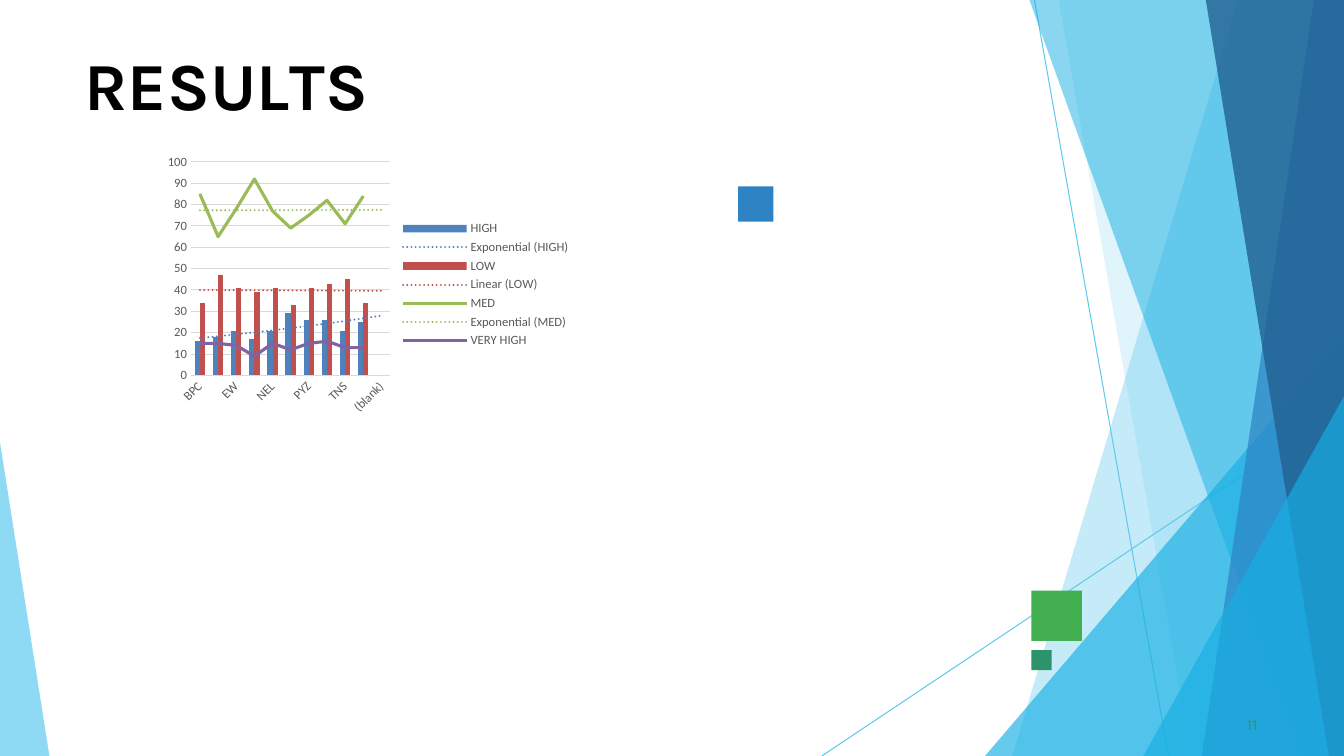
"""Build the RESULTS slide: a faceted backdrop, a title and a combined chart."""
import typing

import pptx
import pptx.chart.data
import pptx.dml.color
import pptx.enum.chart
import pptx.enum.shapes
import pptx.enum.text
import pptx.oxml
import pptx.oxml.ns
import pptx.util

WIDE, HIGH = pptx.util.Inches(13.33), pptx.util.Inches(7.5)
COLS, ROWS = 133.3, 75
SKY, AQUA, BLUE, NAVY = "5FCAEE", "17AFE3", "2D83C3", "226192"
TEAL, GREEN, BLACK, GREY, PALE = "2D936B", "42AF51", "000000", "595959", "D9D9D9"
Point = tuple[float, float]

class Facet(typing.NamedTuple):
    points: list[Point]
    color: str
    alpha: int

class Square(typing.NamedTuple):
    left: float
    top: float
    size: float
    color: str

class Group(typing.NamedTuple):
    name: str
    color: str
    values: list[int]
    trend: str = ""
    line: bool = False

RAYS: list[tuple[Point, Point]] = [((102.6, 0), (115.9, ROWS)), ((COLS, 40.4), (81.5, ROWS))]
END, TIP = (COLS, ROWS), (COLS, 0)
FACETS = [
    Facet([TIP, (122.8, 0), (100.4, ROWS), END], SKY, 36),
    Facet([TIP, (105, 0), (118.2, ROWS), END], SKY, 20),
    Facet([(COLS, 33.3), (97.7, ROWS), END], AQUA, 66),
    Facet([TIP, (102.1, 0), (129.1, ROWS), END], AQUA, 50),
    Facet([TIP, (130.3, 0), (119.2, ROWS), END], BLUE, 70),
    Facet([TIP, (119.6, 0), (131.8, ROWS), END], NAVY, 80),
    Facet([(COLS, 39.3), (113.4, ROWS), END], AQUA, 66),
    Facet([(0, 43.9), (0, ROWS), (4.9, ROWS)], SKY, 70)]
SQUARES = [
    Square(102.3, 58.6, 5, GREEN),
    Square(73.2, 18.5, 3.5, BLUE),
    Square(102.3, 64.5, 2, TEAL)]
TITLE = [("R", 0), ("E", -0.4), ("S", 0.1), ("U", -0.3), ("L", -4), ("TS", 0)]
UNITS = ["BPC", "CCDR", "EW", "MSC", "NEL", "PL", "PYZ", "SVG", "TNS", "WBL", "(blank)"]
GROUPS = [
    Group("HIGH", "4F81BD", [16, 18, 21, 17, 21, 29, 26, 26, 21, 25], "exp"),
    Group("LOW", "C0504D", [34, 47, 41, 39, 41, 33, 41, 43, 45, 34], "linear"),
    Group("MED", "9BBB59", [85, 65, 78, 92, 77, 69, 75, 82, 71, 84], "exp", True),
    Group("VERY HIGH", "8064A2", [15, 15, 14, 9, 15, 12, 15, 16, 13, 13], "", True)]

def span(cells: float) -> int:
    return round(HIGH * cells / ROWS)

def place(*cells: float) -> list[int]:
    return [span(cell) for cell in cells]

def paint(fill: typing.Any, color: str) -> None:
    fill.solid()
    fill.fore_color.rgb = pptx.dml.color.RGBColor.from_string(color)

def ink(font: typing.Any, face: str, size: float, color: str) -> None:
    font.name, font.size = face, pptx.util.Pt(size)
    paint(font.fill, color)

def node(xml: str) -> typing.Any:
    return pptx.oxml.parse_xml(f"<c:box {pptx.oxml.ns.nsdecls('c', 'a')}>{xml}</c:box>")[0]

def finish(shape: typing.Any, color: str) -> None:
    shape.shadow.inherit = False
    paint(shape.fill, color)
    shape.line.fill.background()

def draw_ray(slide: typing.Any, start: Point, stop: Point) -> None:
    kind = pptx.enum.shapes.MSO_CONNECTOR.STRAIGHT
    ray = slide.shapes.add_connector(kind, *place(*start, *stop))
    paint(ray.line.fill, SKY)
    ray.line.width = pptx.util.Pt(0.75)
    ray._element.spPr.append(node("<a:effectLst/>"))

def draw_facet(slide: typing.Any, facet: Facet) -> None:
    spots = [place(*point) for point in facet.points]
    pen = slide.shapes.build_freeform(*spots[0], scale=1.0)
    pen.add_line_segments(spots[1:], close=True)
    shape = pen.convert_to_shape()
    finish(shape, facet.color)
    tone = shape._element.spPr.find(".//" + pptx.oxml.ns.qn("a:srgbClr"))
    tone.append(node(f'<a:alpha val="{facet.alpha * 1000}"/>'))

def draw_square(slide: typing.Any, box: Square) -> None:
    kind = pptx.enum.shapes.MSO_SHAPE.RECTANGLE
    shape = slide.shapes.add_shape(kind, *place(box.left, box.top, box.size, box.size))
    finish(shape, box.color)

def set_text(shape: typing.Any, parts: list[tuple[str, float]], size: float,
             color: str, indent: float, before: float) -> None:
    frame = shape.text_frame
    frame.word_wrap = True
    frame.auto_size = pptx.enum.text.MSO_AUTO_SIZE.SHAPE_TO_FIT_TEXT
    frame.vertical_anchor = pptx.enum.text.MSO_ANCHOR.TOP
    frame.margin_left = frame.margin_right = frame.margin_bottom = 0
    frame.margin_top = span(0.1)
    line = frame.paragraphs[0]
    line.alignment = pptx.enum.text.PP_ALIGN.LEFT
    line.space_before = pptx.util.Pt(before)
    props = line._p.get_or_add_pPr()
    props.set("marL", str(span(indent)))
    props.set("indent", "0")
    for text, gap in parts:
        run = line.add_run()
        run.text = text
        ink(run.font, "Karla", size, color)
        run.font._element.set("spc", str(round(gap * 100)))

def add_trend(series: typing.Any, group: Group) -> None:
    series._element.find(pptx.oxml.ns.qn("c:cat")).addprevious(node(
        '<c:trendline><c:spPr><a:ln w="19050" cap="rnd"><a:solidFill>'
        f'<a:srgbClr val="{group.color}"/></a:solidFill><a:prstDash val="sysDot"/></a:ln></c:spPr>'
        f'<c:trendlineType val="{group.trend}"/><c:dispRSqr val="0"/><c:dispEq val="0"/>'
        '</c:trendline>'))

def move_lines(bars: typing.Any, lines: list[typing.Any]) -> None:
    plot = node('<c:lineChart><c:grouping val="standard"/><c:varyColors val="0"/></c:lineChart>')
    for series in lines:
        item = series._element
        for flag in item.findall(pptx.oxml.ns.qn("c:invertIfNegative")):
            item.remove(flag)
        for mark in item.findall(pptx.oxml.ns.qn("c:marker")) + item.findall(pptx.oxml.ns.qn("c:smooth")):
            item.remove(mark)
        shade = item.find(pptx.oxml.ns.qn("c:spPr"))
        shade.addnext(node('<c:marker><c:symbol val="none"/></c:marker>'))
        item.append(node('<c:smooth val="0"/>'))
        plot.append(item)
    plot.append(node('<c:marker val="1"/>'))
    for axis in bars.findall(pptx.oxml.ns.qn("c:axId")):
        plot.append(node(f'<c:axId val="{axis.get("val")}"/>'))
    bars.addnext(plot)

def draw_chart(slide: typing.Any) -> None:
    data = pptx.chart.data.CategoryChartData()
    data.categories = UNITS
    for group in GROUPS:
        data.add_series(group.name, group.values + [None])
    kind = pptx.enum.chart.XL_CHART_TYPE.COLUMN_CLUSTERED
    chart = slide.shapes.add_chart(kind, *place(15.8, 14.8, 41.8, 26.9), data).chart
    ink(chart.font, "Calibri", 10, BLACK)
    chart.has_title, chart.has_legend = False, True
    chart.legend.position = pptx.enum.chart.XL_LEGEND_POSITION.RIGHT
    chart.legend.include_in_layout = False
    ink(chart.legend.font, "Calibri", 9, GREY)
    base, scale = chart.category_axis, chart.value_axis
    for axis in (base, scale):
        axis.major_tick_mark = axis.minor_tick_mark = pptx.enum.chart.XL_TICK_MARK.NONE
        ink(axis.tick_labels.font, "Calibri", 9, GREY)
    base._element.find(".//" + pptx.oxml.ns.qn("a:bodyPr")).set("rot", "-60000000")
    scale.minimum_scale, scale.maximum_scale, scale.major_unit = 0, 100, 10
    scale.format.line.fill.background()
    for line in (base.format.line, scale.major_gridlines.format.line):
        paint(line.fill, PALE)
        line.width = pptx.util.Pt(0.75)
    plot = chart.plots[0]
    plot.gap_width, plot.overlap, plot.vary_by_categories = 150, 0, False
    pairs = list(zip(plot.series, GROUPS))
    for series, group in pairs:
        if group.line:
            paint(series.format.line.fill, group.color)
            series.format.line.width = pptx.util.Pt(2.25)
        else:
            paint(series.format.fill, group.color)
        if group.trend:
            add_trend(series, group)
    move_lines(plot._element, [series for series, group in pairs if group.line])

def main() -> None:
    deck = pptx.Presentation()
    deck.slide_width, deck.slide_height = WIDE, HIGH
    slide = deck.slides.add_slide(deck.slide_layouts[5])
    for start, stop in RAYS:
        draw_ray(slide, start, stop)
    for facet in FACETS:
        draw_facet(slide, facet)
    for box in SQUARES:
        draw_square(slide, box)
    title = slide.shapes.title
    title.left, title.top, title.width, title.height = place(8.3, 4.2, 116.8, 8.3)
    set_text(title, TITLE, 48, BLACK, 0.1, 1.1)
    for run in title.text_frame.paragraphs[0].runs:
        run.font.bold = True
    page = slide.shapes.add_textbox(*place(123.3, 70.8, 2.5, 2.1))
    set_text(page, [("11", 0.1)], 11, TEAL, 0.4, 0.6)
    draw_chart(slide)
    deck.save("out.pptx")

if __name__ == "__main__":
    main()
